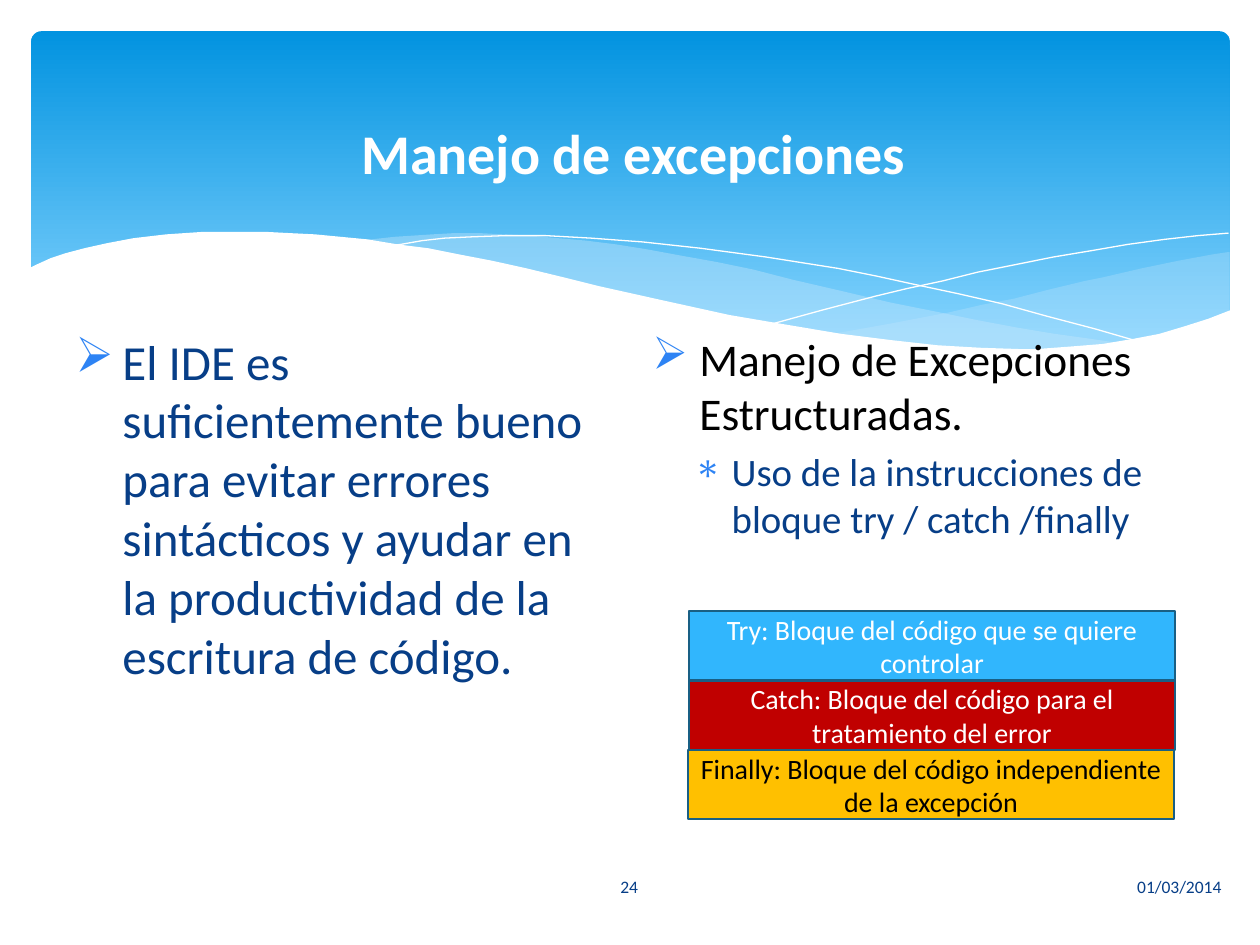
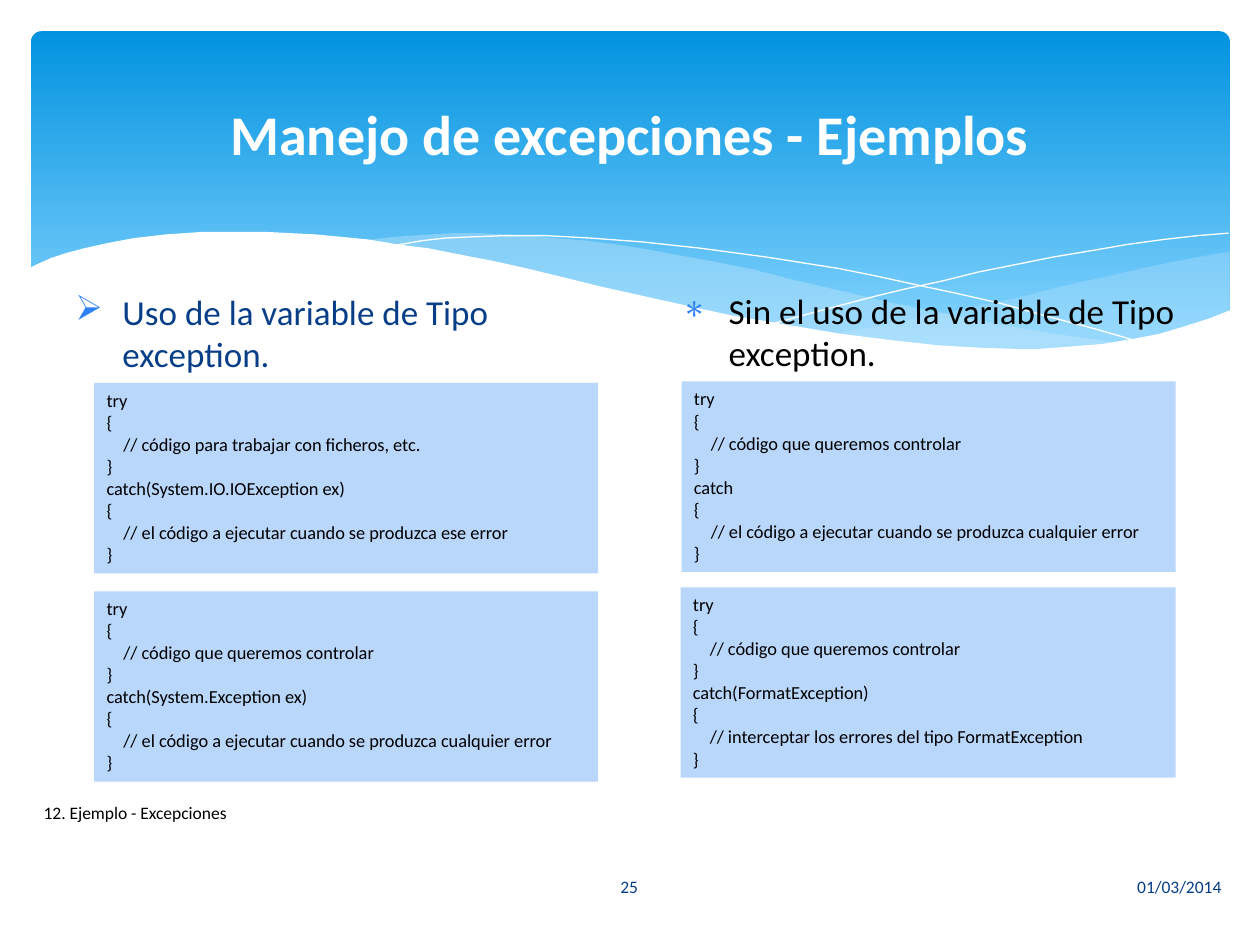
from lxml import etree
from pptx import Presentation
from pptx.dml.color import RGBColor
from pptx.enum.shapes import MSO_SHAPE
from pptx.enum.text import MSO_ANCHOR, PP_ALIGN
from pptx.oxml.ns import qn
from pptx.util import Cm, Pt

RECTANGLE, ROUNDED = MSO_SHAPE.RECTANGLE, MSO_SHAPE.ROUNDED_RECTANGLE
TOP, MIDDLE = MSO_ANCHOR.TOP, MSO_ANCHOR.MIDDLE
LEFT, CENTER, RIGHT = PP_ALIGN.LEFT, PP_ALIGN.CENTER, PP_ALIGN.RIGHT

WHITE = RGBColor(0xFF, 0xFF, 0xFF)
BLACK = RGBColor(0x00, 0x00, 0x00)
NAVY = RGBColor(0x07, 0x3E, 0x87)
BULLET_BLUE = RGBColor(0x2D, 0x83, 0xF4)
BAND_TOP = RGBColor(0x02, 0x93, 0xE0)
BAND_BOTTOM = RGBColor(0x83, 0xD3, 0xFE)
WAVE_BLUE = RGBColor(0xC6, 0xE7, 0xFC)
TRY_BLUE = RGBColor(0x31, 0xB6, 0xFD)
CATCH_RED = RGBColor(0xC0, 0x00, 0x00)
FINALLY_AMBER = RGBColor(0xFF, 0xC0, 0x00)
BLOCK_EDGE = RGBColor(0x19, 0x5F, 0x84)
CODE_BLUE = RGBColor(0xB9, 0xD6, 0xFB)

FONT = "Calibri"
ARROW, ASTERISK = "➢", "∗"
CODE_INDENT = Cm(0.34)

# Wave outlines, in hundredths of an inch
WAVE_UNIT = Cm(2.54) / 100
RIGHT_WAVE = [
    (975, 200), (962, 202), (935, 207), (906, 213), (876, 220), (861, 223),
    (832, 230), (805, 237), (779, 242), (753, 248), (706, 257), (661, 265),
    (691, 269), (719, 272), (745, 275), (769, 277), (803, 278), (835, 277),
    (863, 275), (889, 272), (913, 267), (935, 262), (949, 257), (963, 252),
    (976, 247), (976, 200)]
MIDDLE_WAVE = [
    (893, 273), (866, 269), (837, 265), (807, 260), (775, 254), (741, 247),
    (706, 240), (668, 231), (629, 222), (598, 214), (569, 208), (541, 203),
    (514, 198), (489, 194), (465, 191), (442, 189), (420, 187), (399, 186),
    (380, 185), (361, 185), (344, 186), (313, 188), (286, 191), (323, 196),
    (362, 203), (404, 211), (449, 222), (491, 232), (530, 240), (566, 248),
    (601, 255), (634, 261), (665, 266), (695, 270), (722, 274), (748, 276),
    (773, 277), (796, 278), (828, 278), (857, 277), (876, 275)]
FALLING_LINE = [
    (309, 195), (318, 194), (335, 191), (353, 189), (374, 188), (401, 187),
    (433, 187), (469, 189), (510, 192), (556, 197), (608, 204), (665, 213),
    (695, 219), (727, 226), (760, 233), (795, 241), (831, 251), (869, 261),
    (907, 272)]
RISING_LINE = [
    (613, 257), (653, 246), (695, 235), (720, 229), (748, 223), (776, 216),
    (806, 210), (836, 204), (866, 199), (895, 194), (924, 190), (951, 187),
    (975, 185)]
WHITE_WAVE = [
    (977, 246), (959, 253), (940, 259), (920, 265), (899, 269), (875, 273),
    (850, 275), (823, 277), (809, 277), (778, 276), (744, 274), (708, 270),
    (668, 265), (626, 258), (579, 250), (529, 239), (475, 227), (447, 220),
    (418, 213), (391, 207), (365, 202), (340, 197), (316, 194), (292, 190),
    (271, 188), (250, 186), (230, 185), (211, 184), (161, 184), (132, 186),
    (106, 189), (85, 193), (67, 197), (52, 201), (40, 205), (29, 210),
    (23, 213), (23, 329), (977, 329)]
# Points, fill colour (None for an open line), opacity in percent
WAVES = [
    (RIGHT_WAVE, WAVE_BLUE, 29),
    (MIDDLE_WAVE, WAVE_BLUE, 40),
    (FALLING_LINE, None, 100),
    (RISING_LINE, None, 100),
    (WHITE_WAVE, WHITE, 100),
]


def add_text(slide, box, lines, size, color, align=LEFT, anchor=TOP, fill=None):
    """Add a text box, or a rectangle when a fill is given."""
    place = [Cm(length) for length in box]
    if fill is None:
        shape = slide.shapes.add_textbox(*place)
    else:
        shape = slide.shapes.add_shape(RECTANGLE, *place)
        shape.shadow.inherit = False
        shape.fill.solid()
        shape.fill.fore_color.rgb = fill
        shape.line.fill.background()
    frame = shape.text_frame
    frame.word_wrap = True
    frame.vertical_anchor = anchor
    frame.text = "\n".join(lines)
    for paragraph in frame.paragraphs:
        paragraph.alignment = align
        for run in paragraph.runs:
            run.font.name = FONT
            run.font.size = Pt(size)
            run.font.color.rgb = color
    return shape


def set_bullet(paragraph, symbol, left, hanging):
    properties = paragraph._p.get_or_add_pPr()
    properties.set("marL", str(Cm(left)))
    properties.set("indent", str(-Cm(hanging)))
    tint = etree.SubElement(properties, qn("a:buClr"))
    etree.SubElement(tint, qn("a:srgbClr")).set("val", str(BULLET_BLUE))
    etree.SubElement(properties, qn("a:buChar")).set("char", symbol)


prs = Presentation()
prs.slide_width, prs.slide_height = Cm(25.4), Cm(19.05)

# Shared parts: band, waves, date, page number and title
pages = [
    ("24", "Manejo de excepciones ", 1.47, 1.98),
    ("25", "Manejo de excepciones - Ejemplos", 1.27, 1.6),
]
for number, heading, heading_left, heading_top in pages:
    slide = prs.slides.add_slide(prs.slide_layouts[6])

    band = slide.shapes.add_shape(ROUNDED, Cm(0.63), Cm(0.63), Cm(24.16), Cm(6.86))
    band.adjustments[0] = 0.03
    band.shadow.inherit = False
    band.line.fill.background()
    band.fill.gradient()
    band.fill.gradient_angle = 270
    stops = band.fill.gradient_stops
    for stop, position, color in zip(stops, (0, 0.9), (BAND_TOP, BAND_BOTTOM)):
        stop.position = position
        stop.color.rgb = color

    for points, color, opacity in WAVES:
        outline = slide.shapes.build_freeform(*points[0], scale=WAVE_UNIT)
        outline.add_line_segments(points[1:], close=color is not None)
        wave = outline.convert_to_shape()
        wave.shadow.inherit = False
        if color is None:
            wave.fill.background()
            wave.line.color.rgb = WHITE
            wave.line.width = Pt(0)
            continue
        wave.line.fill.background()
        wave.fill.solid()
        wave.fill.fore_color.rgb = color
        if opacity < 100:
            solid = wave._element.spPr.find(qn("a:solidFill"))
            etree.SubElement(solid[0], qn("a:alpha")).set("val", str(opacity * 1000))

    add_text(slide, (14.35, 17.37, 10.52, 1.02), ["01/03/2014"], 10, NAVY, RIGHT, MIDDLE)
    add_text(slide, (11.07, 17.37, 3.23, 1.02), [number], 10, NAVY, CENTER, MIDDLE)
    title = add_text(slide, (heading_left, heading_top, 22.86, 2.18), [heading],
                     32, WHITE, CENTER, MIDDLE)
    title.text_frame.paragraphs[0].runs[0].font.bold = True

handling, examples = prs.slides

# Slide 1: the two columns
ide_note = add_text(
    handling, (1.27, 6.55, 11.23, 10.46),
    ["El IDE es suficientemente bueno para evitar errores sintácticos y ayudar "
     "en la productividad de la escritura de código."], 28, NAVY)
set_bullet(ide_note.text_frame.paragraphs[0], ARROW, 0.95, 0.95)

structured = add_text(
    handling, (12.9, 6.55, 11.23, 5.97),
    ["Manejo de Excepciones Estructuradas.",
     "Uso de la instrucciones de bloque try / catch /finally"], 25.9, BLACK)
topic, detail = structured.text_frame.paragraphs
detail.level = 1
detail.space_before = Pt(4.4)
detail.runs[0].font.size = Pt(22.2)
detail.runs[0].font.color.rgb = NAVY
set_bullet(topic, ARROW, 0.95, 0.95)
set_bullet(detail, ASTERISK, 1.6, 0.76)

# Slide 1: stacked try / catch / finally blocks
blocks = [
    ("Try: Bloque del código que se quiere controlar", 13.89, TRY_BLUE, WHITE),
    ("Catch: Bloque del código para el tratamiento del error", 13.89, CATCH_RED, WHITE),
    ("Finally: Bloque del código independiente de la excepción", 13.87,
     FINALLY_AMBER, BLACK),
]
for row, (meaning, left, fill, color) in enumerate(blocks):
    block = add_text(handling, (left, 12.32 + 1.4 * row, 9.8, 1.4), [meaning],
                     16, color, CENTER, MIDDLE, fill)
    block.line.color.rgb = BLOCK_EDGE
    block.line.width = Pt(1.25)

# Slide 2: column headings
columns = [
    ("Uso de la variable de Tipo exception.", 1.27, 5.74, ARROW, NAVY),
    ("Sin el uso de la variable de Tipo exception.", 13.49, 5.72, ASTERISK, BLACK),
]
for heading, left, top, symbol, color in columns:
    column = add_text(examples, (left, top, 11.23, 10.46), [heading], 20, color)
    set_bullet(column.text_frame.paragraphs[0], symbol, 0.95, 0.95)

# Slide 2: code samples, each with its catch clause and two comments
CONTROL = "// código que queremos controlar"
ANY_ERROR = "// el código a ejecutar cuando se produzca cualquier error"
samples = [
    ((1.9, 7.72, 10.16, 3.84), "// código para trabajar con ficheros, etc.",
     "catch(System.IO.IOException ex)",
     "// el código a ejecutar cuando se produzca ese error"),
    ((1.9, 11.92, 10.16, 3.84), CONTROL, "catch(System.Exception ex)", ANY_ERROR),
    ((13.74, 7.69, 9.96, 3.84), CONTROL, "catch", ANY_ERROR),
    ((13.72, 11.84, 9.98, 3.84), CONTROL, "catch(FormatException)",
     "// interceptar los errores del tipo FormatException"),
]
for box, guarded, clause, handler in samples:
    lines = ["try", "{", guarded, "}", clause, "{", handler, "}"]
    sample = add_text(examples, box, lines, 10.5, BLACK, fill=CODE_BLUE)
    for paragraph in sample.text_frame.paragraphs:
        if paragraph.text.startswith("//"):
            paragraph._p.get_or_add_pPr().set("marL", str(CODE_INDENT))

# Slide 2: reference to the exercise
exercise = add_text(examples, (0.63, 16.05, 4.27, 0.69),
                    ["12. Ejemplo - Excepciones"], 10, BLACK)
exercise.text_frame.word_wrap = False

prs.save("out.pptx")
